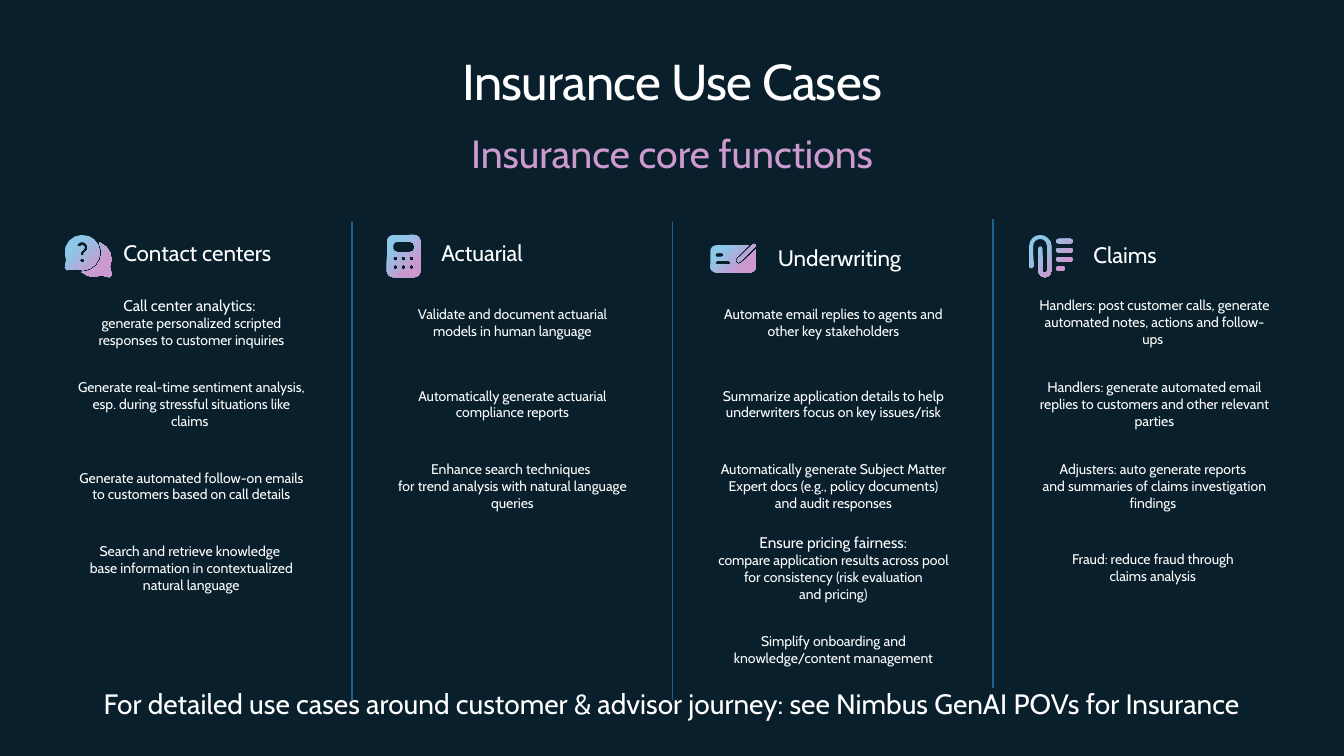
import math

import lxml.etree
import pptx
import pptx.dml.color
import pptx.enum.shapes
import pptx.enum.text
import pptx.oxml.ns
import pptx.util

Pt = pptx.util.Pt
ALIGN = pptx.enum.text.PP_ALIGN
ANCHOR = pptx.enum.text.MSO_ANCHOR

COLUMN_LEFT, COLUMN_PITCH, COLUMN_WIDTH = 46.3, 229.3, 180.7
ROW_TOP, ROW_PITCH = 200.5, 58.5
TIE, FIXED_SPACE = "~", chr(160)


def color(value):
    return pptx.dml.color.RGBColor.from_string(value)


def gradient(fill, stops, angle):
    fill.gradient()
    fill.gradient_angle = angle
    for stop, (position, value) in zip(fill.gradient_stops, stops):
        stop.position = position
        stop.color.rgb = color(value)


def arc(x, y, radius, start, end):
    step = 45 if radius < 3 else 22.5
    steps = max(2, round(abs(end - start) / step))
    angles = [math.radians(start + (end - start) * i / steps) for i in range(steps + 1)]
    return [(x + radius * math.cos(a), y + radius * math.sin(a)) for a in angles]


def dot(x, y, radius):
    return arc(x, y, radius, 0, 315)


def rounded(x, y, width, height, radius):
    right, bottom = x + width - radius, y + height - radius
    left, top = x + radius, y + radius
    return (arc(left, top, radius, 180, 270) + arc(right, top, radius, 270, 360)
            + arc(right, bottom, radius, 0, 90) + arc(left, bottom, radius, 90, 180))


class Deck:
    font = "Cabin"
    white = "FFFFFF"
    background = "091F2C"
    divider_color = "1C628B"
    icon_stops = [(0.26, "8DC8E8"), (0.75, "CD98CF")]
    title_stops = [(0, "CD9AD0"), (1, "8EC8E8")]

    def __init__(self):
        self.deck = pptx.Presentation()
        self.deck.slide_width, self.deck.slide_height = Pt(960), Pt(540)
        self.slide = self.deck.slides.add_slide(self.deck.slide_layouts[6])
        self.slide.background.fill.solid()
        self.slide.background.fill.fore_color.rgb = color(self.background)

    def text(self, words, left, top, width, height, *, size=10, lead="", align=ALIGN.LEFT,
             anchor=ANCHOR.TOP, insets=(0, 0, 0, 0), wrap=True, line_spacing=None,
             letter_spacing=None, stops=None):
        frame = self.slide.shapes.add_textbox(Pt(left), Pt(top), Pt(width), Pt(height)).text_frame
        frame.word_wrap = wrap
        frame.vertical_anchor = anchor
        (frame.margin_left, frame.margin_top,
         frame.margin_right, frame.margin_bottom) = map(Pt, insets)
        paragraph = frame.paragraphs[0]
        paragraph.alignment = align
        if line_spacing:
            paragraph.line_spacing = line_spacing
        for part, part_size in ((lead, 11), (words, size)):
            for number, line in enumerate(part.split("\n")):
                if number:
                    paragraph.add_line_break()
                    lxml.etree.SubElement(paragraph._p[-1], pptx.oxml.ns.qn("a:rPr"),
                                          sz=str(part_size * 100))
                if not line:
                    continue
                run = paragraph.add_run()
                run.text = line.replace(TIE, FIXED_SPACE)
                run.font.name = self.font
                run.font.size = Pt(part_size)
                if stops:
                    gradient(run.font.fill, stops, 180)
                else:
                    run.font.color.rgb = color(self.white)
                if letter_spacing:
                    run._r.get_or_add_rPr().set("spc", str(int(letter_spacing * 100)))

    def icon(self, outlines):
        builder = None
        for outline in outlines:
            points = [(Pt(x), Pt(y)) for x, y in outline]
            if builder is None:
                builder = self.slide.shapes.build_freeform(*points[0])
            else:
                builder.move_to(*points[0])
            builder.add_line_segments(points[1:], close=True)
        shape = builder.convert_to_shape()
        shape.shadow.inherit = False
        shape.line.fill.background()
        gradient(shape.fill, self.icon_stops, 315)

    def divider(self, x, top, bottom):
        line = self.slide.shapes.add_connector(
            pptx.enum.shapes.MSO_CONNECTOR.STRAIGHT, Pt(x), Pt(top), Pt(x), Pt(bottom))
        line.line.color.rgb = color(self.divider_color)
        line.line.width = Pt(1.25)
        lxml.etree.SubElement(line._element.spPr, pptx.oxml.ns.qn("a:effectLst"))

    def column(self, index, heading, heading_left, heading_top, icon, cases):
        self.text(heading, heading_left, heading_top, 122, 24.5, size=16,
                  insets=(0, 3.6, 7.2, 3.6), line_spacing=0.9)
        self.icon(icon)
        for row, (lead, words) in enumerate(cases):
            self.text(words, COLUMN_LEFT + index * COLUMN_PITCH, ROW_TOP + row * ROW_PITCH,
                      COLUMN_WIDTH, 59, lead=lead, align=ALIGN.CENTER,
                      anchor=ANCHOR.MIDDLE, insets=(7.2, 3.6, 7.2, 3.6))


def main():
    chat = [
        arc(58.7, 180.4, 12.6, 155, 470) + [(47.8, 192.9), (46.4, 191.5)],
        arc(58.8, 176.8, 3.9, 200, 415)
        + [(60, 181), (60, 182.6), (57.7, 182.6), (57.7, 180.4)]
        + arc(58.8, 176.8, 1.5, 415, 200),
        dot(58.7, 186.2, 1.7),
        arc(67.1, 185.2, 12.6, -70, 25) + [(79.9, 196.5), (78, 198)]
        + arc(67.1, 185.2, 12.6, 65, 134) + arc(58.7, 180.4, 14, 92, -30),
    ]
    calculator = [rounded(276.3, 167.8, 24, 30.2, 4.8), rounded(281, 172.8, 14.8, 7.2, 2.5)]
    calculator += [dot(282.4 + 5.75 * c, 184.8 + 6 * r, 1.7) for r in range(2) for c in range(3)]
    signed_card = [
        arc(511.7, 179.5, 4.3, 180, 270) + [(535, 175.2)]
        + arc(527.8, 186.1, 2.7, 225, 45) + [(539.8, 178.4)]
        + arc(535.7, 190.3, 4.3, 0, 90) + arc(511.7, 190.3, 4.3, 90, 180),
        arc(538.6, 175.5, 1.2, 225, 405) + arc(527.6, 186.1, 1.2, 45, 225),
        rounded(511.2, 180.9, 5.8, 2.6, 1.3),
        rounded(511.2, 186.4, 10.8, 2.6, 1.3),
    ]
    clip = [
        arc(743, 175.7, 7.9, 180, 360) + arc(746.3, 193.4, 4.6, 0, 180)
        + arc(743, 177.4, 1.4, 180, 360) + arc(746.3, 193.3, 1.7, 180, 0)
        + arc(743, 175.7, 5, 360, 180) + arc(736.6, 190, 1.45, 0, 180),
    ]
    clip += [rounded(754.5, 170.7 + 6.5 * i, width, 3.1, 1.5)
             for i, width in enumerate((11.7, 11.7, 11.7, 6.1))]

    columns = [
        ("Contact centers", 88.1, 169.8, chat, [
            ("Call center analytics: \n",
             "generate personalized scripted responses to customer inquiries"),
            ("", "Generate real-time sentiment analysis, esp. during stressful situations like claims "),
            ("", "Generate automated follow-on emails to customers based on~call~details"),
            ("", "Search and retrieve knowledge \nbase information in contextualized natural language"),
        ]),
        ("Actuarial", 315.2, 169.6, calculator, [
            ("", "Validate and document actuarial models in human language"),
            ("", "Automatically generate actuarial compliance reports"),
            ("", "Enhance search techniques \nfor trend analysis with natural language queries"),
        ]),
        ("Underwriting", 555.7, 173.1, signed_card, [
            ("", "Automate email replies to agents and other key stakeholders"),
            ("", "Summarize application details to~help underwriters focus on key~issues/risk"),
            ("", "Automatically generate Subject Matter Expert docs (e.g., policy documents) "
                 "and audit responses"),
            ("Ensure pricing fairness: ",
             "compare~application results across pool for consistency "
             "(risk~evaluation and~pricing)"),
            ("", "Simplify onboarding and knowledge/content management"),
        ]),
        ("Claims", 781, 171, clip, [
            ("", "Handlers: post customer calls, generate automated notes, actions and follow-ups "),
            ("", "Handlers: generate automated email replies to customers and other relevant parties"),
            ("", "Adjusters: auto generate reports \nand summaries of claims investigation findings "),
            ("", "Fraud: reduce fraud through \nclaims analysis "),
        ]),
    ]

    page = Deck()
    page.text("Insurance Use Cases", 46.2, 36, 868, 44, size=36, align=ALIGN.CENTER,
              letter_spacing=-0.5)
    page.text("Insurance core functions", 46, 88.6, 868, 28.8, size=28, align=ALIGN.CENTER,
              insets=(7.2, 3.6, 7.2, 3.6), stops=page.title_stops)
    for index, column in enumerate(columns):
        page.column(index, *column)
    for x, top, bottom in ((251.3, 158.8, 499.7), (480.4, 158.8, 499.7), (709.2, 156.7, 491.3)):
        page.divider(x, top, bottom)
    page.text("For detailed use cases around customer & advisor journey: "
              "see Nimbus GenAI POVs for Insurance",
              74.1, 490.3, 861, 24.5, size=20, wrap=False)
    page.deck.save("out.pptx")


if __name__ == "__main__":
    main()
